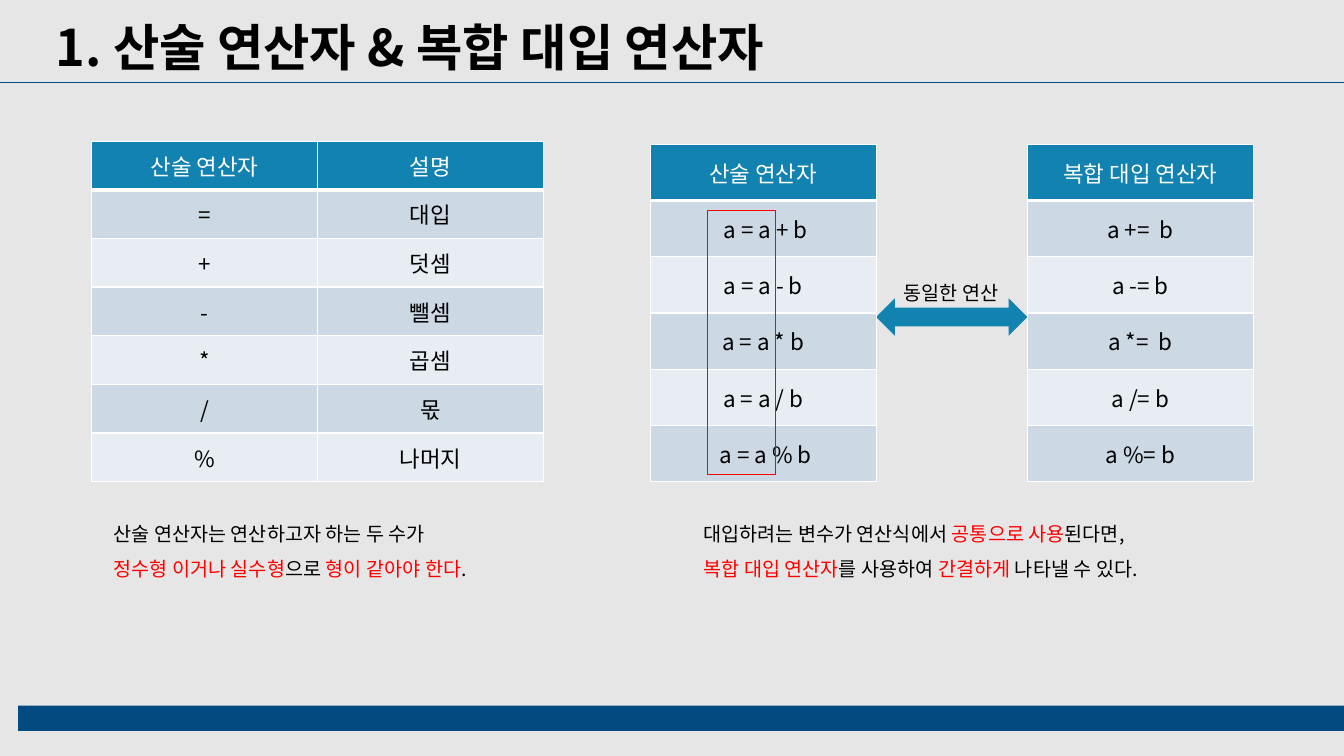
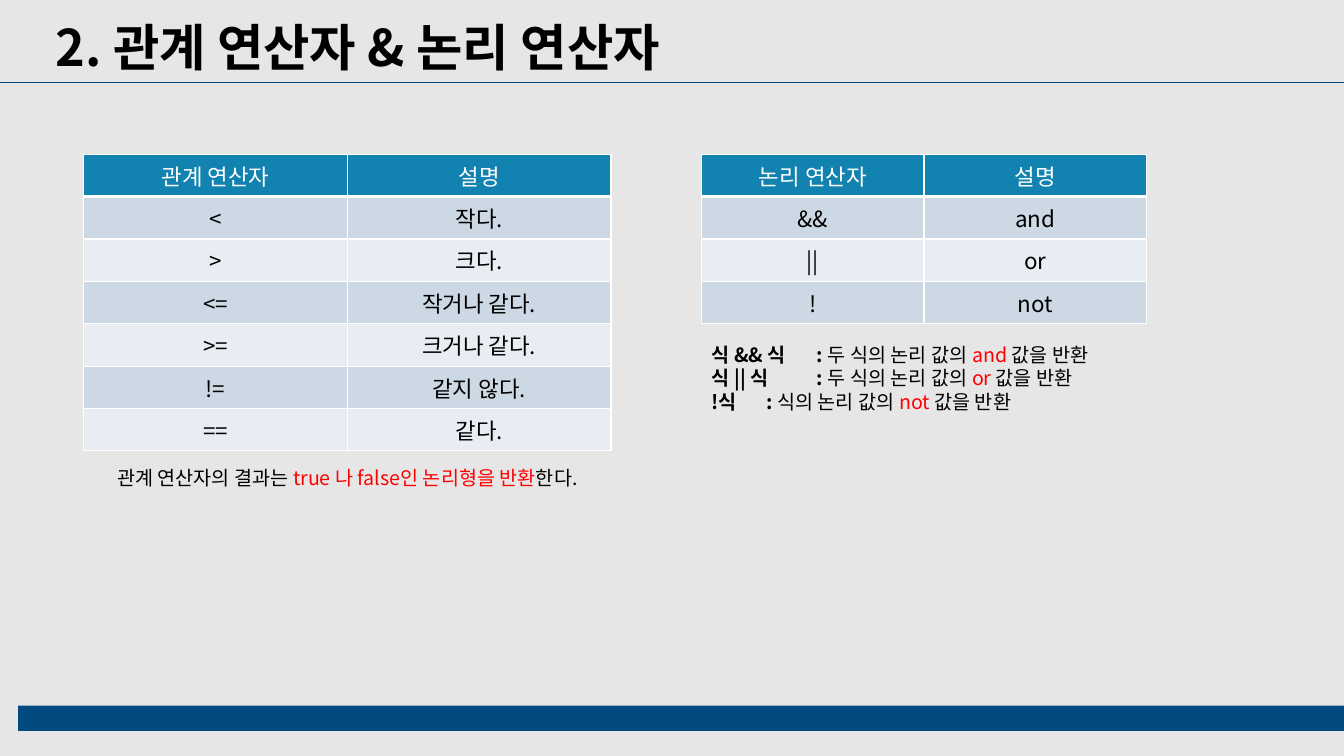
from lxml.etree import SubElement
from pptx import Presentation
from pptx.dml.color import RGBColor
from pptx.enum.shapes import MSO_CONNECTOR as Connector, MSO_SHAPE as Shape
from pptx.enum.text import MSO_ANCHOR as Anchor, MSO_AUTO_SIZE as AutoSize, PP_ALIGN as Align
from pptx.oxml.ns import qn
from pptx.util import Inches, Pt

COLORS = {
    "background": "E7E6E6",
    "navy": "024B80",
    "blue": "1282B0",
    "odd_row": "CCD8E4",
    "even_row": "E7EDF2",
    "white": "FFFFFF",
    "black": "000000",
    "red": "FF0000",
}
FONT = "Noto Sans CJK KR"
WIDTH, HEIGHT = 13.33, 7.5


def rgb(name):
    return RGBColor.from_string(COLORS[name])


def box(left, top, width, height):
    return [Inches(value) for value in (left, top, width, height)]


class Deck:
    def __init__(self):
        self.presentation = Presentation()
        self.presentation.slide_width = Inches(WIDTH)
        self.presentation.slide_height = Inches(HEIGHT)
        fill = self.presentation.slide_master.background.fill
        fill.solid()
        fill.fore_color.rgb = rgb("background")
        self.slide = None

    def add_slide(self, title):
        layout = self.presentation.slide_layouts[5]
        self.slide = self.presentation.slides.add_slide(layout)
        self.title(title)
        self.shape(Shape.RECTANGLE, 0.18, 7, 13.15, 0.25, fill="navy")
        self.rule(0.82)

    def format_run(self, run, size, color="black", bold=False):
        font = run.font
        font.size = Pt(size)
        font.bold = bold
        font.color.rgb = rgb(color)
        font.name = FONT
        SubElement(font._element, qn("a:ea"), typeface=FONT)

    def title(self, text):
        title = self.slide.shapes.title
        title.left, title.top, title.width, title.height = box(0.45, 0.11, 8.71, 0.71)
        frame = title.text_frame
        frame.text = text
        frame.auto_size = AutoSize.NONE
        frame.vertical_anchor = Anchor.MIDDLE
        paragraph = frame.paragraphs[0]
        paragraph.alignment = Align.LEFT
        self.format_run(paragraph.runs[0], 36, bold=True)

    def rule(self, top):
        line = self.slide.shapes.add_connector(
            Connector.STRAIGHT, 0, Inches(top), Inches(WIDTH), Inches(top))
        line.line.color.rgb = rgb("navy")
        line.line.width = Pt(0.5)
        SubElement(line._element.spPr, qn("a:effectLst"))

    def shape(self, kind, left, top, width, height, fill=None, outline=None):
        shape = self.slide.shapes.add_shape(kind, *box(left, top, width, height))
        shape.shadow.inherit = False
        if fill:
            shape.fill.solid()
            shape.fill.fore_color.rgb = rgb(fill)
        else:
            shape.fill.background()
        if outline:
            shape.line.color.rgb = rgb(outline)
            shape.line.width = Pt(1)
        else:
            shape.line.fill.background()

    def text(self, left, top, width, height, paragraphs, align=Align.LEFT, spacing=None):
        shape = self.slide.shapes.add_textbox(*box(left, top, width, height))
        frame = shape.text_frame
        frame.word_wrap = True
        for index, segments in enumerate(paragraphs):
            paragraph = frame.add_paragraph() if index else frame.paragraphs[0]
            paragraph.alignment = align
            paragraph.line_spacing = spacing
            for text, *style in segments:
                run = paragraph.add_run()
                run.text = text
                self.format_run(run, 14, *style)

    def borders(self, cell, top=1, bottom=1):
        properties = cell._tc.get_or_add_tcPr()
        for side, width in (("L", 1), ("R", 1), ("T", top), ("B", bottom)):
            line = SubElement(properties, qn(f"a:ln{side}"), w=str(Pt(width)))
            fill = SubElement(line, qn("a:solidFill"))
            SubElement(fill, qn("a:srgbClr"), val=COLORS["white"])

    def table(self, left, top, width, height, rows):
        frame = self.slide.shapes.add_table(
            len(rows), len(rows[0]), *box(left, top, width, height))
        table = frame.table
        table.horz_banding = False
        for row_index, row in enumerate(rows):
            header = row_index == 0
            fill = "blue" if header else ("even_row", "odd_row")[row_index % 2]
            for column_index, text in enumerate(row):
                cell = table.cell(row_index, column_index)
                self.borders(cell, top=3 if row_index == 1 else 1, bottom=3 if header else 1)
                cell.fill.solid()
                cell.fill.fore_color.rgb = rgb(fill)
                cell.vertical_anchor = Anchor.MIDDLE
                cell.text_frame.text = text
                paragraph = cell.text_frame.paragraphs[0]
                paragraph.alignment = Align.CENTER
                self.format_run(paragraph.runs[0], 16, "white" if header else "black")


def arithmetic_slide(deck):
    deck.add_slide("1. 산술 연산자 & 복합 대입 연산자")
    deck.table(0.91, 1.4, 4.48, 3.38, [
        ("산술 연산자", "설명"),
        ("=", "대입"),
        ("+", "덧셈"),
        ("-", "뺄셈"),
        ("*", "곱셈"),
        ("/", "몫"),
        ("%", "나머지"),
    ])
    deck.shape(Shape.LEFT_RIGHT_ARROW, 8.69, 2.96, 1.5, 0.37, fill="blue")
    deck.text(8.72, 2.74, 1.43, 0.47, [[("동일한 연산",)]], Align.CENTER)
    expressions = ["산술 연산자", " a = a + b", "a = a - b", "a = a * b", "a = a / b", " a = a % b"]
    assignments = ["복합 대입 연산자", "a +=  b", "a -= b", "a *=  b", "a /= b", "a %= b"]
    for left, column in ((6.45, expressions), (10.19, assignments)):
        deck.table(left, 1.43, 2.24, 3.35, [(text,) for text in column])
    deck.shape(Shape.RECTANGLE, 7.02, 2.09, 0.67, 2.62, outline="red")
    deck.text(6.88, 5.01, 5.1, 0.81, [
        [("대입하려는 변수가 연산식에서 ",), ("공통으로 사용", "red"), ("된다면,",)],
        [("복합 대입 연산자", "red"), ("를 사용하여 ",), ("간결하게", "red"),
         (" 나타낼 수 있다.",)],
    ], spacing=1.5)
    deck.text(1.03, 5.01, 4.24, 0.81, [
        [("산술 연산자는 연산하고자 하는 두 수가",)],
        [("정수형 이거나 실수형", "red"), ("으로 ",), ("형이 같아야 한다", "red"), (".",)],
    ], spacing=1.5)


def logic_slide(deck):
    deck.add_slide("2. 관계 연산자 & 논리 연산자")
    deck.table(0.83, 1.53, 5.23, 2.84, [
        ("관계 연산자", "설명"),
        ("<", "작다."),
        (">", "크다."),
        ("<=", "작거나 같다."),
        (">=", "크거나 같다."),
        ("!=", "같지 않다."),
        ("==", "같다."),
    ])
    deck.table(6.96, 1.53, 4.41, 1.62, [
        ("논리 연산자", "설명"),
        ("&&", "and"),
        ("||", "or"),
        ("!", "not"),
    ])
    meanings = [
        ("식 && 식", "두 식의 논리 값의 ", "and "),
        ("식 || 식", "두 식의 논리 값의 ", "or "),
        ("!식", "식의 논리 값의 ", "not "),
    ]
    deck.text(6.96, 3.35, 4.41, 0.81, [
        [(f"{expression}\t : ", "black", True), (operands,), (result, "red"), ("값을 반환",)]
        for expression, operands, result in meanings
    ])
    deck.text(0.83, 4.57, 5.23, 0.34, [
        [("관계 연산자의 결과는 ",), ("true 나 false인 논리형을 반환", "red"), ("한다.",)],
    ], Align.CENTER)


def main():
    deck = Deck()
    arithmetic_slide(deck)
    logic_slide(deck)
    deck.presentation.save("out.pptx")


if __name__ == "__main__":
    main()
